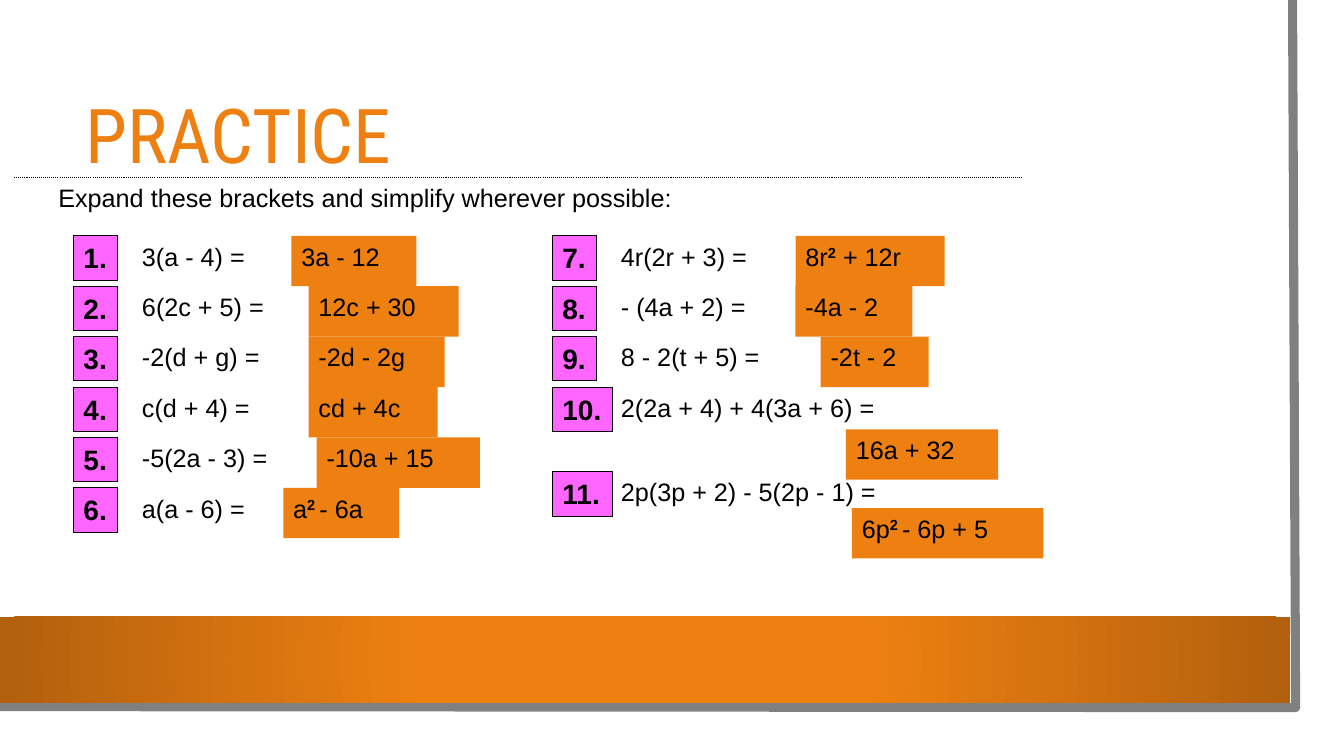
from lxml import etree
from pptx import Presentation
from pptx.dml.color import RGBColor
from pptx.enum.dml import MSO_LINE
from pptx.enum.shapes import MSO_CONNECTOR, MSO_SHAPE
from pptx.enum.text import MSO_ANCHOR, PP_ALIGN
from pptx.oxml import parse_xml
from pptx.oxml.ns import nsdecls, qn
from pptx.util import Inches, Pt

COLORS = {"orange": "EE8011", "dark orange": "B2600D", "pink": "FF66FF",
          "gray": "808080", "black": "000000", "white": "FFFFFF"}


def add_box(shapes, left, top, width, height, fill=None, outline=None):
    box = shapes.add_shape(MSO_SHAPE.RECTANGLE, Inches(left), Inches(top),
                           Inches(width), Inches(height))
    box.shadow.inherit = False
    if fill:
        box.fill.solid()
        box.fill.fore_color.rgb = RGBColor.from_string(COLORS[fill])
    else:
        box.fill.background()
    if outline:
        box.line.color.rgb = RGBColor.from_string(COLORS[outline])
        box.line.width = Pt(0.75)
    else:
        box.line.fill.background()
    return box


def write(box, text, size=18, bold=False, font="Arial", color="black",
          anchor=MSO_ANCHOR.TOP, wrap=True):
    """Write one line; a part between ^ marks is a bold superscript."""
    frame = box.text_frame
    frame.word_wrap = wrap
    frame.vertical_anchor = anchor
    paragraph = frame.paragraphs[0]
    paragraph.alignment = PP_ALIGN.LEFT
    for index, part in enumerate(text.split("^")):
        run = paragraph.add_run()
        run.text = part
        run.font.size = Pt(size)
        run.font.name = font
        run.font.bold = bold or index % 2 == 1
        run.font.color.rgb = RGBColor.from_string(COLORS[color])
        if index % 2 == 1:
            run._r.get_or_add_rPr().set("baseline", "30000")


prs = Presentation()
prs.slide_width, prs.slide_height = Inches(13.33), Inches(7.5)
slide = prs.slides.add_slide(prs.slide_layouts[5])
shapes = slide.shapes

# Page with gray edge
add_box(shapes, 0, 0, 13.1, 7.27, "white")
edge_builder = shapes.build_freeform(Inches(12.82), 0)
edge_builder.add_line_segments([(Inches(12.85), Inches(7.02)),
                                (Inches(-0.03), Inches(7.01))], close=False)
page_edge = edge_builder.convert_to_shape()
page_edge.shadow.inherit = False
page_edge.fill.background()
page_edge.line.color.rgb = RGBColor.from_string(COLORS["gray"])
page_edge.line.width = Pt(6.5)

# Orange band, darker towards its ends
band = add_box(shapes, 0, 6.12, 12.8, 0.85, "orange")
solid_fill = band._element.spPr.find(qn("a:solidFill"))
band._element.spPr.replace(solid_fill, parse_xml(
    f'<a:gradFill {nsdecls("a")} rotWithShape="1"><a:gsLst>'
    f'<a:gs pos="34000"><a:srgbClr val="{COLORS["orange"]}"/></a:gs>'
    f'<a:gs pos="100000"><a:srgbClr val="{COLORS["dark orange"]}"/></a:gs>'
    '</a:gsLst><a:path path="circle">'
    '<a:fillToRect l="50000" t="50000" r="50000" b="50000"/>'
    '</a:path></a:gradFill>'))

# Title, brought in front of the page
title = shapes.title
title.left, title.top = Inches(0.75), Inches(0.75)
title.width, title.height = Inches(11.37), Inches(1.26)
write(title, "PRACTICE", 54, font="Roboto Condensed", color="orange",
      anchor=MSO_ANCHOR.MIDDLE)
title.text_frame.paragraphs[0].line_spacing = 0.9
shapes._spTree.append(title._element)

# Dotted rule and instruction
rule = shapes.add_connector(MSO_CONNECTOR.STRAIGHT, Inches(0.14), Inches(1.76),
                            Inches(10.14), Inches(1.76))
rule.line.color.rgb = RGBColor.from_string(COLORS["black"])
rule.line.width = Pt(0.75)
rule.line.dash_style = MSO_LINE.ROUND_DOT
etree.SubElement(rule._element.spPr, qn("a:effectLst"))
instruction = shapes.add_textbox(Inches(0.48), Inches(1.76), Inches(8.41), Inches(0.5))
write(instruction, "Expand these brackets and simplify wherever possible:")

# Exercises: question, its width, answer, answer's left and width, and,
# where they leave the row grid, the question's and answer's drop
FIRST_ROW, ROW_STEP = 2.34, 0.5
columns = [
    (0.73, [("3(a - 4) =", 1.56, "3a - 12", 2.89, 1.24, 0, 0),
            ("6(2c + 5) =", 1.81, "12c + 30", 3.06, 1.49, 0, 0),
            ("-2(d + g) =", 1.76, "-2d - 2g", 3.06, 1.35, 0, 0),
            ("c(d + 4) =", 1.63, "cd + 4c", 3.06, 1.28, 0, 0),
            ("-5(2a - 3) =", 1.86, "-10a + 15", 3.14, 1.62, 0, 0),
            ("a(a - 6) =", 1.56, "a^2 ^- 6a", 2.81, 1.15, 0, 0)]),
    (5.48, [("4r(2r + 3) =", 1.87, "8r^2^ + 12r", 7.89, 1.48, 0, 0),
            ("- (4a + 2) =", 1.85, "-4a - 2", 7.89, 1.16, 0, 0),
            ("8 - 2(t + 5) =", 2.03, "-2t - 2", 8.14, 1.07, 0, 0),
            ("2(2a + 4) + 4(3a + 6) =", 3.55, "16a + 32", 8.39, 1.51, 0, 0.42),
            ("2p(3p + 2) - 5(2p - 1) =", 3.57, "6p^2 ^- 6p + 5", 8.45, 1.9, 0.34, 0.36)]),
]
number = 0
for column_left, exercises in columns:
    for row, exercise in enumerate(exercises):
        question, question_width, answer, answer_left, answer_width, drop, answer_drop = exercise
        number += 1
        top = FIRST_ROW + row * ROW_STEP + drop
        group = shapes.add_group_shape().shapes
        badge = add_box(group, column_left, top, 0.44 if number < 10 else 0.6, 0.44,
                        "pink", "black")
        write(badge, f"{number}.", 20, bold=True, wrap=False)
        question_box = group.add_textbox(Inches(column_left + 0.58), Inches(top),
                                         Inches(question_width), Inches(0.5))
        write(question_box, question)
        answer_box = add_box(shapes, answer_left, top + answer_drop, answer_width, 0.5, "orange")
        write(answer_box, answer)

prs.save("out.pptx")
